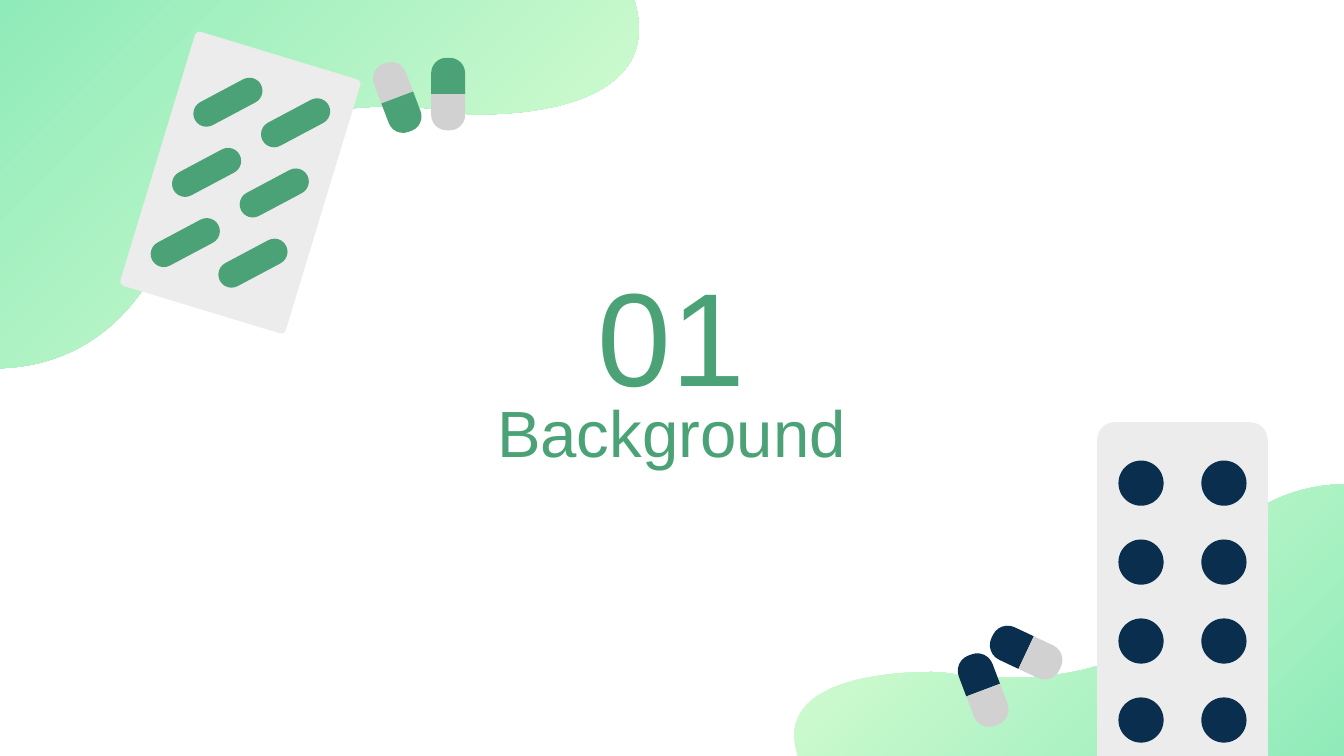
import dataclasses
import math

import pptx
import pptx.dml.color
import pptx.enum.shapes
import pptx.enum.text
import pptx.oxml.ns
import pptx.util
import lxml.etree

Pt = pptx.util.Pt
SHAPE = pptx.enum.shapes.MSO_SHAPE
ALIGN = pptx.enum.text.PP_ALIGN


@dataclasses.dataclass(frozen=True)
class Theme:
    font: str = "Arial"
    green: str = "4AA276"
    navy: str = "0A2E4E"
    grey: str = "D1D1D1"
    white: str = "FFFFFF"
    mint: str = "90EBBA"
    lime: str = "E3FFD5"
    number_size: float = 71
    title_size: float = 35


# Wave seen from its corner: each curve is two controls and an end point.
WAVE_START = (0, 197.3)
WAVE_CURVES = [
    ((25.9, 196.6), (69.1, 185.8), (92.9, 123.8)),
    ((128.2, 33.1), (250.6, 61.2), (250.6, 61.2)),
    ((250.6, 61.2), (360, 67), (339.8, 0)),
]


def rgb(value):
    return pptx.dml.color.RGBColor.from_string(value)


def rotate(x, y, angle):
    a = math.radians(angle)
    return x * math.cos(a) - y * math.sin(a), x * math.sin(a) + y * math.cos(a)


def bezier(p0, p1, p2, p3, steps=40):
    """Points on a cubic curve, without its start."""
    for i in range(1, steps + 1):
        t = i / steps
        u = 1 - t
        yield tuple(u**3 * a + 3 * u * u * t * b + 3 * u * t * t * c + t**3 * d
                    for a, b, c, d in zip(p0, p1, p2, p3))


def write_text(sp, text, *, size, color, font, align=ALIGN.CENTER):
    tf = sp.text_frame
    p = tf.paragraphs[0]
    p.alignment = align
    p.space_before = Pt(0)
    p.line_spacing = 1.0
    r = p.add_run()
    r.text = text
    r.font.size = Pt(size)
    r.font.name = font
    r.font.color.rgb = rgb(color)


class Deck:
    def __init__(self, theme):
        self.theme = theme
        self.prs = pptx.Presentation()
        self.prs.slide_width, self.prs.slide_height = Pt(720), Pt(405)
        self.s = None

    def add_slide(self):
        self.s = self.prs.slides.add_slide(self.prs.slide_layouts[0])
        self.s.background.fill.solid()
        self.s.background.fill.fore_color.rgb = rgb(self.theme.white)

    def heading(self, sp, text, top, height, size, inset):
        sp.left, sp.top, sp.width, sp.height = Pt(160), Pt(top), Pt(399.6), Pt(height)
        tf = sp.text_frame
        tf.word_wrap = True
        tf.auto_size = pptx.enum.text.MSO_AUTO_SIZE.NONE
        tf.vertical_anchor = pptx.enum.text.MSO_ANCHOR.TOP
        tf.margin_left = tf.margin_right = tf.margin_bottom = Pt(7.2)
        tf.margin_top = Pt(inset)
        write_text(sp, text, size=size, color=self.theme.green, font=self.theme.font)

    def wave(self, x, y, sx, sy, colors):
        """Corner wave; negative scales turn it towards the upper left."""
        points = [WAVE_START]
        for curve in WAVE_CURVES:
            points += bezier(points[-1], *curve)
        points.append((0, 0))
        points = [(Pt(x + sx * px), Pt(y + sy * py)) for px, py in points]
        builder = self.s.shapes.build_freeform(*points[0], scale=1.0)
        builder.add_line_segments(points[1:], close=True)
        sp = builder.convert_to_shape()
        sp.shadow.inherit = False
        sp.line.fill.background()
        sp.fill.gradient()
        sp.fill.gradient_angle = 315
        for stop, color in zip(sp.fill.gradient_stops, colors):
            stop.color.rgb = rgb(color)

    def piece(self, group, kind, cx, cy, w, h, color, angle=0, radius=None, alpha=None):
        """Plain shape placed by its centre; alpha is a percentage."""
        sp = group.shapes.add_shape(kind, Pt(cx - w / 2), Pt(cy - h / 2), Pt(w), Pt(h))
        sp.rotation = angle
        sp.shadow.inherit = False
        sp.line.fill.background()
        sp.fill.solid()
        sp.fill.fore_color.rgb = rgb(color)
        if radius is not None:
            sp.adjustments[0] = radius / min(w, h)
        if alpha is not None:
            qn = pptx.oxml.ns.qn
            clr = sp.fill._xPr.find(qn("a:solidFill")).find(qn("a:srgbClr"))
            lxml.etree.SubElement(clr, qn("a:alpha")).set("val", str(alpha * 1000))

    def capsule(self, cx, cy, w, half, angle, colors):
        """Two-coloured pill; the first colour is the end that the angle points to."""
        group = self.s.shapes.add_group_shape()
        for turn, color in zip((angle, angle + 180), colors):
            dx, dy = rotate(0, -half / 2, turn)
            self.piece(group, SHAPE.ROUND_2_SAME_RECTANGLE, cx + dx, cy + dy,
                       w, half, color, turn % 360, radius=w * 0.45)

    def blister(self, cx, cy, w, h, radius, angle, grid, pitch, tablet):
        """Card with a centred grid of tablets; tablet holds the keywords of piece."""
        group = self.s.shapes.add_group_shape()
        for color, alpha in ((self.theme.white, None), (self.theme.grey, 40)):
            self.piece(group, SHAPE.ROUNDED_RECTANGLE, cx, cy, w, h, color,
                       angle, radius, alpha)
        rows, cols = grid
        for row in range(rows):
            for col in range(cols):
                dx, dy = rotate((col - (cols - 1) / 2) * pitch[0],
                                (row - (rows - 1) / 2) * pitch[1], angle)
                self.piece(group, cx=cx + dx, cy=cy + dy, **tablet)


def main():
    t = Theme()
    deck = Deck(t)
    deck.add_slide()
    title, number = deck.s.placeholders
    deck.wave(0, 0, 1, 1, (t.mint, t.lime))
    deck.wave(720, 405.4, -0.86, -0.74, (t.lime, t.mint))
    deck.heading(title, "Background", 199.4, 48.2, t.title_size, inset=10.5)
    deck.heading(number, "01", 121, 75.6, t.number_size, inset=14.8)

    deck.capsule(240.1, 50.4, 18.2, 19.4, 0, (t.green, t.grey))
    deck.capsule(212.8, 52.2, 18.2, 19.4, -20.7, (t.grey, t.green))
    deck.capsule(526.7, 369.7, 19.3, 20.1, -20.7, (t.navy, t.grey))
    deck.capsule(549.7, 349.6, 19.3, 20.1, -64.8, (t.navy, t.grey))

    deck.blister(633.5, 322.3, 91.4, 192.2, 9.4, 0, (4, 2), (44.4, 42.3),
                 dict(kind=SHAPE.OVAL, w=24.2, h=24.2, color=t.navy))
    deck.blister(128.8, 97.9, 92.5, 142.2, 2.5, 16.9, (3, 2), (37.9, 39.3),
                 dict(kind=SHAPE.ROUNDED_RECTANGLE, w=40.1, h=14, color=t.green,
                      angle=332, radius=7))
    deck.prs.save("out.pptx")


if __name__ == "__main__":
    main()
